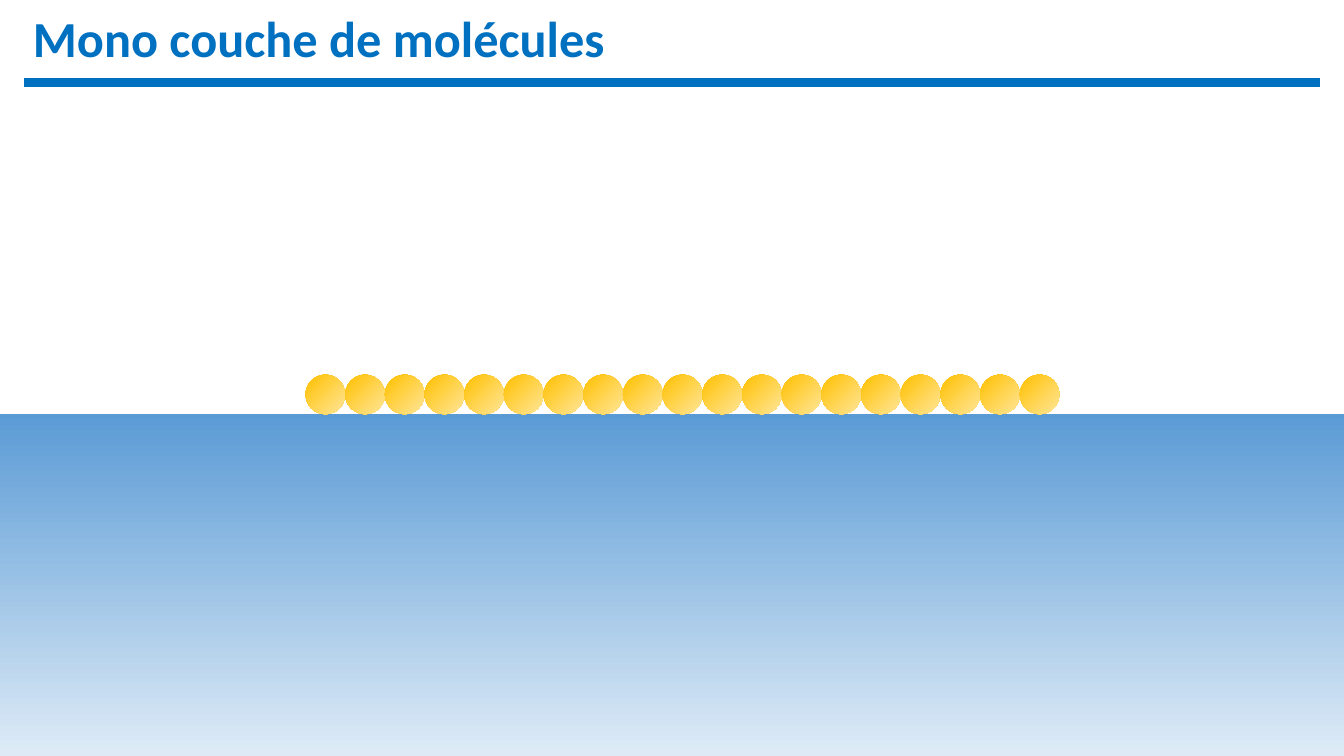
from lxml.etree import SubElement
from pptx import Presentation
from pptx.dml.color import RGBColor
from pptx.enum.shapes import MSO_CONNECTOR, MSO_SHAPE
from pptx.enum.text import MSO_ANCHOR
from pptx.oxml.ns import qn
from pptx.util import Cm, Pt

PAGE_WIDTH, PAGE_HEIGHT = 33.87, 19.05
TITLE_HEIGHT = 2.08
WATER_TOP = 10.44
MOLECULE_COUNT = 19
MOLECULE_SIZE = 1
FIRST_MOLECULE_LEFT = 7.7


def color(value):
    return RGBColor.from_string(value)


class SlideBuilder:
    font_name = "Calibri"
    accent = "0070C0"
    water = ("5B9BD5", "DEEBF7")
    molecule = ("FFE699", "FFC000")

    def __init__(self, page):
        self.page = page

    def title(self, text, left, top, width, height):
        box = self.page.shapes.add_textbox(Cm(left), Cm(top), Cm(width), Cm(height))
        frame = box.text_frame
        frame.word_wrap = True
        frame.vertical_anchor = MSO_ANCHOR.MIDDLE
        frame.margin_left = Cm(0.83)
        para = frame.paragraphs[0]
        para.text = text
        para.line_spacing = 0.9
        para.font.name = self.font_name
        para.font.size = Pt(36)
        para.font.bold = True
        para.font.color.rgb = color(self.accent)

    def rule(self, left, right, top):
        line = self.page.shapes.add_connector(
            MSO_CONNECTOR.STRAIGHT, Cm(left), Cm(top), Cm(right), Cm(top)
        )
        line.line.color.rgb = color(self.accent)
        line.line.width = Pt(6)
        SubElement(line._element.spPr, qn("a:effectLst"))

    def gradient_shape(self, kind, left, top, width, height, colors):
        shape = self.page.shapes.add_shape(kind, Cm(left), Cm(top), Cm(width), Cm(height))
        shape.shadow.inherit = False
        shape.line.fill.background()
        shape.fill.gradient()
        for stop, value in zip(shape.fill.gradient_stops, colors):
            stop.color.rgb = color(value)
        return shape

    def water_body(self, left, top, width, height):
        shape = self.gradient_shape(
            MSO_SHAPE.RECTANGLE, left, top, width, height, self.water
        )
        shape.fill.gradient_angle = 270

    def molecule_ball(self, left, top, size):
        shape = self.gradient_shape(MSO_SHAPE.OVAL, left, top, size, size, self.molecule)
        gradient = shape._element.spPr.find(qn("a:gradFill"))
        gradient.remove(gradient.find(qn("a:lin")))
        radial = SubElement(gradient, qn("a:path"), {"path": "circle"})
        SubElement(radial, qn("a:fillToRect"), {"l": "100000", "t": "100000"})


def main():
    deck = Presentation()
    deck.slide_width = Cm(PAGE_WIDTH)
    deck.slide_height = Cm(PAGE_HEIGHT)
    builder = SlideBuilder(deck.slides.add_slide(deck.slide_layouts[6]))

    builder.title("Mono couche de molécules", 0, 0, PAGE_WIDTH, TITLE_HEIGHT)
    builder.rule(0.6, PAGE_WIDTH - 0.6, TITLE_HEIGHT)
    builder.water_body(0, WATER_TOP, PAGE_WIDTH, PAGE_HEIGHT - WATER_TOP)
    for index in range(MOLECULE_COUNT):
        builder.molecule_ball(
            FIRST_MOLECULE_LEFT + index * MOLECULE_SIZE,
            WATER_TOP - MOLECULE_SIZE,
            MOLECULE_SIZE,
        )

    deck.save("out.pptx")


if __name__ == "__main__":
    main()
